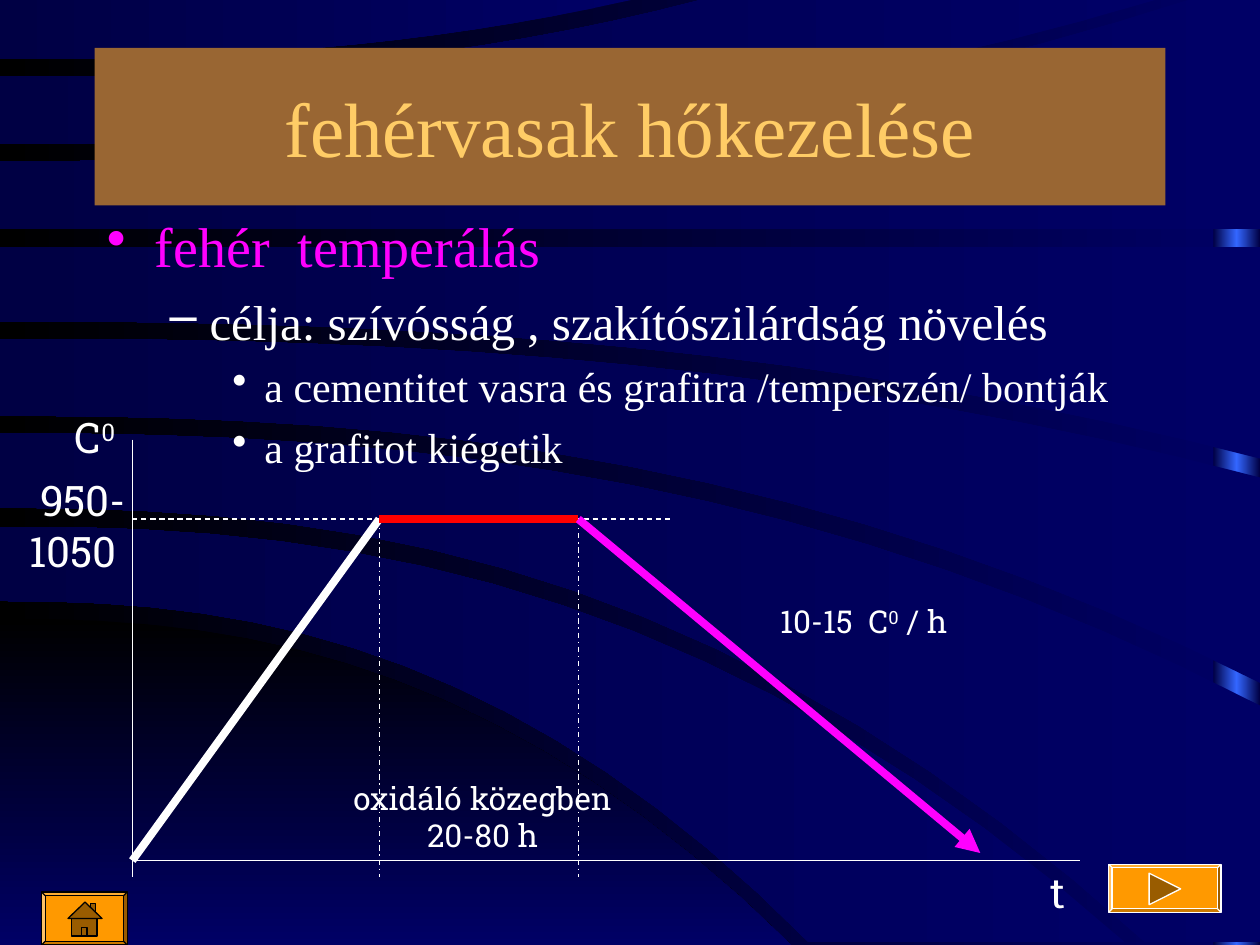
from copy import deepcopy
from dataclasses import dataclass

from lxml.etree import SubElement
from pptx import Presentation
from pptx.dml.color import RGBColor as Rgb
from pptx.enum.dml import MSO_LINE_DASH_STYLE as Dash
from pptx.enum.shapes import MSO_CONNECTOR_TYPE as Link, MSO_SHAPE as Shape
from pptx.enum.text import MSO_ANCHOR as Anchor, PP_ALIGN as Align
from pptx.oxml.ns import qn
from pptx.util import Inches, Pt


@dataclass(frozen=True)
class Theme:
    serif: str = "Times New Roman"
    slab: str = "Roboto Slab"
    white: str = "FFFFFF"
    black: str = "000000"
    navy: str = "000066"
    deep_navy: str = "000044"
    glow: str = "3366FF"
    panel: str = "996633"
    gold: str = "FFCC66"
    magenta: str = "FF00FF"
    red: str = "FF0000"
    button: str = "FF9900"
    icon: str = "995C00"
    title_size: int = 44
    label_size: int = 24
    note_size: int = 18
    thin: float = 0.75
    thick: float = 4.5


THEME = Theme()
COLUMNS, ROWS = 10, 7.5  # one grid cell is one inch

# Stations of the heat treatment curve, in grid cells
START, SOAK, COOL, FINISH = 1.05, 3.01, 4.59, 7.78
HOT, BASE, AXIS_END = 4.12, 6.83, 6.96

# Upper and lower edge of each sweep: height at the left, then the end point
BEND, STEPS = 2.4, 16
CORNER = (4.91, 6.28, ROWS), (ROWS, 6.28, ROWS)
BANDS = [
    ((4.18, 8.93, 7.48), (4.77, 6.42, 7.48)),
    ((3.44, 10, 5.6), (4.03, 9.09, 7.48)),
    ((2.69, 10, 3.79), (3.3, 10, 5.42)),
    ((1.96, 10, 1.96), (2.55, 10, 3.64)),
    ((1.28, 9.43, 0), (1.82, 10, 1.82)),
    ((0.61, 5.56, 0), (1.14, 9.17, 0)),
    ((0, 5.01, 0), (0.47, 5.01, 0)),
]


def color(value):
    return Rgb.from_string(value)


def cells(*values):
    return [Inches(value) for value in values]


def paint(shape, fill, line=None):
    shape.shadow.inherit = False
    shape.fill.solid()
    shape.fill.fore_color.rgb = color(fill)
    if line:
        shape.line.color.rgb = color(line)
        shape.line.width = Pt(THEME.thin)
    else:
        shape.line.fill.background()


def blend(fill, first, last, angle=180):
    """Two-colour linear gradient; the angle runs counter-clockwise."""
    fill.gradient()
    fill.gradient_angle = angle
    for stop, value, place in zip(fill.gradient_stops, (first, last), (0, 1)):
        stop.color.rgb = color(value)
        stop.position = place


def edge_points(left, end_x, end_y):
    shares = [step / STEPS for step in range(STEPS + 1)]
    return [(end_x * share, left + (end_y - left) * share ** BEND) for share in shares]


def add_sweep(page, upper, lower, first, last, angle=180):
    """Area between two bent edges, squared off where the shorter one ends."""
    corner = max(upper[1], lower[1]), min(upper, lower, key=lambda edge: edge[1])[2]
    outline = edge_points(*upper) + [corner] + edge_points(*lower)[::-1]
    start, *rest = [cells(*point) for point in outline]
    builder = page.shapes.build_freeform(*start)
    builder.add_line_segments(rest, close=True)
    shape = builder.convert_to_shape()
    paint(shape, first)
    blend(shape.fill, first, last, angle)


def add_backdrop(page):
    blend(page.background.fill, THEME.navy, THEME.black)
    strip = page.shapes.add_shape(Shape.RECTANGLE, *cells(COLUMNS - 0.37, 0, 0.37, ROWS))
    paint(strip, THEME.deep_navy)
    blend(strip.fill, THEME.deep_navy, THEME.deep_navy)
    first = next(strip._element.iter(qn("a:gs")))
    first.addnext(deepcopy(first))
    middle = strip.fill.gradient_stops[1]
    middle.position = 0.5
    middle.color.rgb = color(THEME.glow)
    add_sweep(page, *CORNER, THEME.black, THEME.navy, 270)
    for upper, lower in BANDS:
        add_sweep(page, upper, lower, THEME.navy, THEME.deep_navy)


def style(font, name, size, value):
    font.name, font.size, font.color.rgb = name, Pt(size), color(value)


def set_title(page, text):
    title = page.shapes.title
    page.shapes._spTree.append(title._element)  # bring in front of the backdrop
    title.left, title.top, title.width, title.height = cells(0.75, 0.38, 8.5, 1.25)
    paint(title, THEME.panel)
    title.text_frame.text = text
    title.text_frame.vertical_anchor = Anchor.MIDDLE
    para = title.text_frame.paragraphs[0]
    para.alignment = Align.CENTER
    style(para.runs[0].font, THEME.serif, THEME.title_size, THEME.gold)


def add_outline(page, items):
    frame = page.shapes.add_textbox(*cells(0.75, 1.63, 9.25, 4.5)).text_frame
    frame.word_wrap = True
    for index, (level, text) in enumerate(items):
        para = frame.add_paragraph() if index else frame.paragraphs[0]
        para.text, para.level = text, level
        if index:
            para.space_before = Pt(8 - level)
        hang = 0.38 - level / 16
        props = para._p.get_or_add_pPr()
        props.set("marL", str(Inches(0.38 + level * 0.435)))
        props.set("indent", str(-Inches(hang)))
        SubElement(props, qn("a:buChar")).set("char", "•–•"[level])
        value = THEME.white if level else THEME.magenta
        style(para.runs[0].font, THEME.serif, 32 - 4 * level, value)


def add_label(page, place, lines, size, anchor=Anchor.TOP):
    """Centred label; a caret on both sides of a character raises it."""
    frame = page.shapes.add_textbox(*cells(*place)).text_frame
    frame.word_wrap, frame.vertical_anchor = False, anchor
    for index, line in enumerate(lines):
        para = frame.add_paragraph() if index else frame.paragraphs[0]
        para.alignment = Align.CENTER
        for part, text in enumerate(line.split("^")):
            if text:
                span = para.add_run()
                span.text = text
                style(span.font, THEME.slab, size, THEME.white)
                if part % 2:
                    span._r.get_or_add_rPr().set("baseline", "30000")
    return frame


def add_line(page, start, end, value=THEME.white, width=THEME.thin, dash=None, arrow=False):
    line = page.shapes.add_connector(Link.STRAIGHT, *cells(*start, *end))
    line.line.color.rgb = color(value)
    line.line.width = Pt(width)
    if dash:
        line.line.dash_style = dash
    if arrow:
        SubElement(line.line._get_or_add_ln(), qn("a:tailEnd")).set("type", "triangle")
    SubElement(line._element.spPr, qn("a:effectLst"))


def add_diagram(page):
    add_line(page, (START, 3.49), (START, AXIS_END))
    add_line(page, (START, BASE), (8.57, BASE))
    hot = add_label(page, (0, 3.72, 1.16, 0.9), ["950-", "1050"], THEME.label_size, Anchor.MIDDLE)
    hot.paragraphs[0]._p.get_or_add_pPr().set("marL", str(Inches(0.16)))
    add_label(page, (0.41, 3.22, 0.69, 0.5), ["C^0^"], THEME.label_size, Anchor.MIDDLE)
    add_line(page, (START, BASE), (SOAK, HOT), width=THEME.thick)
    for station in (COOL, SOAK):
        add_line(page, (station, HOT), (station, AXIS_END), dash=Dash.DASH_DOT)
    add_line(page, (START, HOT), (5.32, HOT), dash=Dash.DASH)
    add_line(page, (SOAK, HOT), (COOL, HOT), THEME.red, THEME.thick)
    add_label(page, (8.24, BASE, 0.32, 0.5), ["t"], THEME.label_size)
    add_label(page, (2.69, 6.13, 2.28, 0.7), ["oxidáló közegben", "20-80 h"], THEME.note_size)
    add_label(page, (5.94, 4.73, 1.83, 0.4), ["10-15  C^0^ / h"], THEME.note_size)
    add_line(page, (COOL, HOT), (FINISH, 6.77), THEME.magenta, THEME.thick, arrow=True)


def add_part(page, kind, place, fill, line, turn=0):
    part = page.shapes.add_shape(kind, *cells(*place))
    part.rotation = turn
    paint(part, fill, line)
    return part


def add_button(page, place, line):
    add_part(page, Shape.BEVEL, place, THEME.button, line).adjustments[0] = 0.07


def add_buttons(page):
    add_button(page, (8.8, 6.86, 0.89, 0.38), THEME.white)
    add_part(page, Shape.ISOSCELES_TRIANGLE, (9.12, 6.93, 0.25, 0.25), THEME.icon, THEME.white, 90)
    add_button(page, (0.33, 7.08, 0.68, 0.42), THEME.black)
    house = [
        (Shape.RECTANGLE, (0.72, 7.17, 0.04, 0.1)),
        (Shape.RECTANGLE, (0.57, 7.29, 0.2, 0.14)),
        (Shape.ISOSCELES_TRIANGLE, (0.54, 7.16, 0.27, 0.13)),
        (Shape.RECTANGLE, (0.65, 7.36, 0.04, 0.07)),
    ]
    for kind, place in house:
        add_part(page, kind, place, THEME.icon, THEME.black)


def main():
    deck = Presentation()
    deck.slide_width, deck.slide_height = cells(COLUMNS, ROWS)
    page = deck.slides.add_slide(deck.slide_layouts[5])
    add_backdrop(page)
    set_title(page, "fehérvasak hőkezelése")
    add_outline(page, [
        (0, "fehér  temperálás"),
        (1, "célja: szívósság , szakítószilárdság növelés"),
        (2, "a cementitet vasra és grafitra /temperszén/ bontják"),
        (2, "a grafitot kiégetik"),
    ])
    add_diagram(page)
    add_buttons(page)
    deck.save("out.pptx")


if __name__ == "__main__":
    main()
